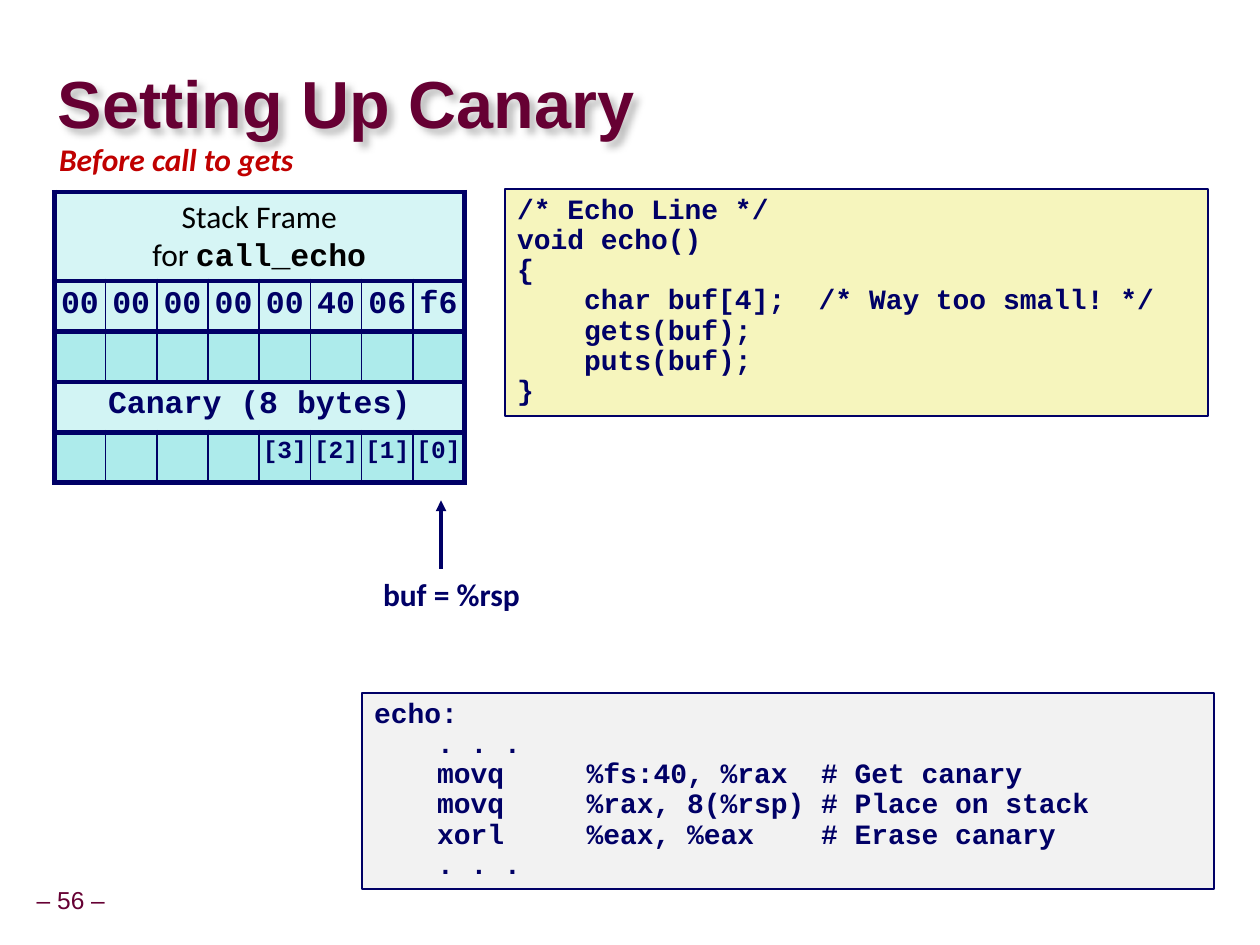
from lxml import etree
from pptx import Presentation
from pptx.dml.color import RGBColor
from pptx.enum.shapes import MSO_CONNECTOR as CONNECTOR, MSO_SHAPE as SHAPE
from pptx.enum.text import MSO_ANCHOR as ANCHOR, MSO_AUTO_SIZE as AUTO_SIZE, PP_ALIGN as ALIGN
from pptx.oxml.ns import qn
from pptx.util import Pt

NAVY, MAROON = "000066", "660033"
CODE = {"name": "Courier New", "size": Pt(16), "bold": True}
BYTES = {"name": "Courier New", "size": Pt(18), "bold": True}
INDEX = {"name": "Courier New", "size": Pt(14), "bold": True}
LABEL = {"name": "Calibri", "size": Pt(18), "bold": True}
PLAIN = {"name": "Calibri", "size": Pt(18), "bold": False}


def color(hex_string):
    return RGBColor.from_string(hex_string)


def write(paragraph, text, font, hex_string, align=ALIGN.LEFT, spacing=0.9):
    paragraph.alignment, paragraph.line_spacing = align, spacing
    paragraph.text = text
    for run in paragraph.runs:
        for key, value in font.items():
            setattr(run.font, key, value)
        run.font.color.rgb = color(hex_string)


presentation = Presentation()
presentation.slide_width, presentation.slide_height = Pt(720), Pt(540)
slide = presentation.slides.add_slide(presentation.slide_layouts[5])

# Title with a soft shadow
title = slide.shapes.title
title.left, title.top, title.width, title.height = Pt(33), Pt(39), Pt(511), Pt(45)
frame = title.text_frame
for key, value in {"margin_left": 0, "margin_right": 0, "margin_top": 0, "margin_bottom": 0,
                   "vertical_anchor": ANCHOR.MIDDLE, "auto_size": AUTO_SIZE.NONE}.items():
    setattr(frame, key, value)
write(frame.paragraphs[0], "Setting Up Canary",
      {"name": "Arial", "size": Pt(38), "bold": True}, MAROON, spacing=0.87)
effects = etree.SubElement(title._element.spPr, qn("a:effectLst"))
shadow = etree.SubElement(effects, qn("a:outerShdw"), blurRad=str(Pt(4)), dist=str(Pt(4)),
                          dir="2700000", algn="tl", rotWithShape="0")
shade = etree.SubElement(shadow, qn("a:srgbClr"), val="000000")
etree.SubElement(shade, qn("a:alpha"), val="25000")

# Code boxes: left, top, width, height, fill, tab stops, paragraphs
c_code = """/* Echo Line */
void echo()
{
    char buf[4];  /* Way too small! */
    gets(buf);
    puts(buf);
}"""
assembly = ["echo:", "\t. . .", "\tmovq\t%fs:40, %rax  # Get canary",
            "\tmovq\t%rax, 8(%rsp) # Place on stack",
            "\txorl\t%eax, %eax    # Erase canary", "\t. . ."]
for left, top, width, height, fill, tabs, paragraphs in [
        (206.7, 396, 487, 112, "F2F2F2", (36, 121.5), assembly),
        (288.5, 108, 402, 129.6, "F6F5BD", (36, 117), [c_code])]:
    shape = slide.shapes.add_shape(SHAPE.RECTANGLE, Pt(left), Pt(top), Pt(width), Pt(height))
    shape.shadow.inherit = False
    shape.fill.solid()
    shape.fill.fore_color.rgb = color(fill)
    shape.line.color.rgb, shape.line.width = color(NAVY), Pt(1)
    frame = shape.text_frame
    frame.word_wrap, frame.vertical_anchor = True, ANCHOR.TOP
    for number, text in enumerate(paragraphs):
        paragraph = frame.add_paragraph() if number else frame.paragraphs[0]
        write(paragraph, text, CODE, NAVY)
        tab_list = etree.SubElement(paragraph._p.get_or_add_pPr(), qn("a:tabLst"))
        for stop in tabs:
            etree.SubElement(tab_list, qn("a:tab"), pos=str(Pt(stop)), algn="l")

# Labels and slide number: text, left, top, width, height, side margin, font, color
for text, left, top, width, height, margin, font, hex_string in [
        ("Before call to gets", 25.5, 79, 150.5, 29, 7.2, {**LABEL, "italic": True}, "C00000"),
        ("buf = %rsp", 210, 327.5, 96, 29, 7.2, LABEL, NAVY),
        ("– 56 –", 15, 504, 51, 22.5, 3.6, {"name": "Arial", "size": Pt(14)}, MAROON)]:
    box = slide.shapes.add_textbox(Pt(left), Pt(top), Pt(width), Pt(height))
    frame = box.text_frame
    frame.word_wrap = False
    frame.margin_left = frame.margin_right = Pt(margin)
    write(frame.paragraphs[0], text, font, hex_string, ALIGN.CENTER)

# Stack table: fill, font, side margin, texts (a single text spans the row)
rows = [("D6F5F5", PLAIN, 7.2, ["Stack Frame"]),
        ("D2F4F4", BYTES, 3.6, "00 00 00 00 00 40 06 f6".split()),
        ("ADEBEB", INDEX, 3.6, [""] * 8),
        ("D2F4F4", BYTES, 3.6, ["Canary (8 bytes)"]),
        ("ADEBEB", INDEX, 0.72, [""] * 4 + ["[3]", "[2]", "[1]", "[0]"])]
table = slide.shapes.add_table(5, 8, Pt(31), Pt(109.8), Pt(234.4), Pt(166)).table
for column in table.columns:
    column.width = Pt(29.3)
for row_number, (fill, font, margin, texts) in enumerate(rows):
    table.rows[row_number].height = Pt(28.8 if row_number else 50.8)
    spans_row = len(texts) == 1
    for column_number in range(8):
        cell = table.cell(row_number, column_number)
        cell.margin_left = cell.margin_right = Pt(margin)
        properties = cell._tc.get_or_add_tcPr()
        for side, is_outer in (("L", spans_row or column_number == 0),
                               ("R", spans_row or column_number == 7), ("T", True), ("B", True)):
            border = etree.SubElement(properties, qn("a:ln" + side), w=str(Pt(3 if is_outer else 1)))
            solid = etree.SubElement(border, qn("a:solidFill"))
            etree.SubElement(solid, qn("a:srgbClr"), val=NAVY)
        cell.fill.solid()
        cell.fill.fore_color.rgb = color(fill)
        paragraph = cell.text_frame.paragraphs[0]
        text = texts[column_number] if column_number < len(texts) else ""
        if text:
            write(paragraph, text, font, NAVY if row_number else "000000", ALIGN.CENTER,
                  0.9 if row_number else 1.0)
        else:
            etree.SubElement(paragraph._p, qn("a:endParaRPr"), sz="1400")
    if spans_row:
        table.cell(row_number, 0).merge(table.cell(row_number, 7))

# Second line of the stack frame heading, in two fonts
paragraph = table.cell(0, 0).text_frame.add_paragraph()
write(paragraph, "for ", PLAIN, "000000", ALIGN.CENTER, 1.0)
run = paragraph.add_run()
run.text = "call_echo"
for key, value in BYTES.items():
    setattr(run.font, key, value)
run.font.color.rgb = color("000000")

# Arrow from the label up to the buffer
arrow = slide.shapes.add_connector(CONNECTOR.STRAIGHT, Pt(252), Pt(325), Pt(252), Pt(286))
arrow.line.color.rgb, arrow.line.width = color(NAVY), Pt(2)
etree.SubElement(arrow.line._get_or_add_ln(), qn("a:tailEnd"), type="triangle")
etree.SubElement(arrow._element.spPr, qn("a:effectLst"))

presentation.save("out.pptx")
